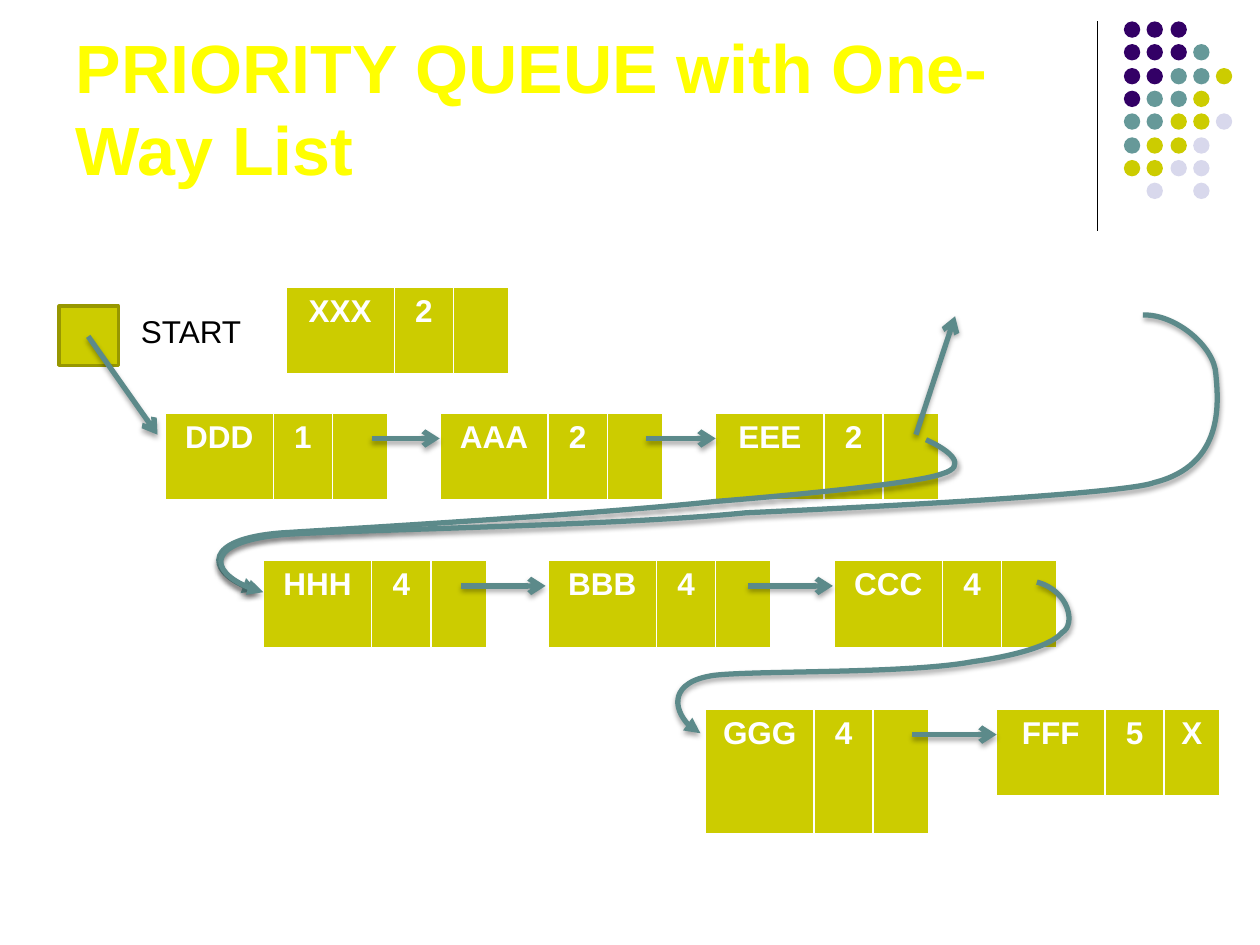
from dataclasses import dataclass

from lxml import etree
from pptx import Presentation
from pptx import util as u
from pptx.dml.color import RGBColor
from pptx.enum import shapes, text
from pptx.oxml.ns import qn

PX = 9144


@dataclass(frozen=True)
class Theme:
    """Colours, font and type sizes of the slide."""
    font: str = "Arial"
    title: str = "FFFF00"
    ink: str = "000000"
    light: str = "FFFFFF"
    node: str = "CCCC00"
    node_edge: str = "979700"
    arrow: str = "5C8A8A"
    dots: tuple = ("330066", "669999", "CCCC00", "D8D8EC")
    title_size: int = 39
    body_size: int = 18


THEME = Theme()
DOT_ROWS = ["000", "0001", "00112", "0112", "11223", "1223", "2233", " 3 3"]
NODE_COLUMNS = (86, 47, 44)
NODES = [
    (("DDD", "1", ""), (131, 328, 177, 70)),
    (("AAA", "2", ""), (349, 328, 177, 70)),
    (("EEE", "2", ""), (568, 328, 177, 70)),
    (("HHH", "4", ""), (209, 445, 177, 70)),
    (("BBB", "4", ""), (435, 445, 177, 70)),
    (("CCC", "4", ""), (662, 445, 177, 70)),
    (("GGG", "4", ""), (560, 563, 177, 100)),
    (("XXX", "2", ""), (227, 228, 177, 70)),
    (("FFF", "5", "X"), (791, 563, 177, 70)),
]
LINKS = [
    (295, 348, 349, 348), (513, 348, 568, 348),
    (366, 465, 433, 465), (594, 465, 661, 465),
    (70, 267, 125, 345), (727, 345, 758, 251), (724, 583, 791, 583),
]
CURVES = [
    [(735, 349), (755, 358), (768, 370), (748, 376), (722, 386), (568, 398), (568, 398),
     (474, 408), (287, 419), (223, 423), (161, 428), (165, 458), (205, 469)],
    [(907, 250), (933, 249), (964, 275), (965, 297), (967, 319), (972, 369), (916, 383),
     (888, 394), (592, 407), (592, 407), (492, 417), (298, 420), (229, 424),
     (161, 429), (166, 459), (209, 470)],
    [(823, 462), (849, 469), (854, 496), (843, 502), (830, 518), (773, 525), (773, 525),
     (721, 535), (602, 532), (567, 536), (531, 541), (534, 572), (556, 582)],
]


def scaled(lengths):
    """Turn px lengths into EMU."""
    return [length * PX for length in lengths]


def add_xml(parent, tag, **attributes):
    """Append a drawing element and return it."""
    return etree.SubElement(parent, qn(tag), attributes)


def style_text(text_frame, size, colour, bold=False):
    """Format every run of a text frame."""
    for paragraph in text_frame.paragraphs:
        for run in paragraph.runs:
            run.font.name = THEME.font
            run.font.size = u.Pt(size)
            run.font.bold = bold
            run.font.color.rgb = RGBColor.from_string(colour)


def style_line(line, colour, width):
    """Set the colour and width of a line."""
    line.color.rgb = RGBColor.from_string(colour)
    line.width = u.Pt(width)


def style_arrow(shape, head):
    """Give a link its stroke, arrowhead and soft shadow."""
    style_line(shape.line, THEME.arrow, 3)
    properties = shape._element.spPr
    add_xml(properties.find(qn("a:ln")), "a:tailEnd", type=head)
    effects = add_xml(properties, "a:effectLst")
    shadow = add_xml(effects, "a:outerShdw", blurRad=str(u.Pt(3.1)), dist=str(u.Pt(1.8)),
                     dir="5400000", rotWithShape="0")
    colour = add_xml(shadow, "a:srgbClr", val=THEME.ink)
    add_xml(colour, "a:alpha", val="35000")


def add_title(slide, wording, box):
    """Place the slide title in its placeholder."""
    title = slide.shapes.title
    title.left, title.top, title.width, title.height = scaled(box)
    frame = title.text_frame
    frame.text = wording
    frame.word_wrap = True
    frame.auto_size = text.MSO_AUTO_SIZE.NONE
    frame.vertical_anchor = text.MSO_ANCHOR.BOTTOM
    frame.paragraphs[0].alignment = text.PP_ALIGN.LEFT
    style_text(frame, THEME.title_size, THEME.title, bold=True)


def add_ornament(slide, box):
    """Draw the vertical rule and the dot grid beside it."""
    left, top, _, height = box
    rule = slide.shapes.add_connector(shapes.MSO_CONNECTOR.STRAIGHT,
                                      *scaled((left, top, left, top + height)))
    style_line(rule.line, THEME.ink, 0.75)
    add_xml(rule._element.spPr, "a:effectLst")
    for row, pattern in enumerate(DOT_ROWS):
        for column, key in enumerate(pattern):
            if key == " ":
                continue
            place = (left + 21 + round(column * 18.3), top + round(row * 18.3), 13, 13)
            dot = slide.shapes.add_shape(shapes.MSO_SHAPE.OVAL, *scaled(place))
            dot.shadow.inherit = False
            dot.fill.solid()
            dot.fill.fore_color.rgb = RGBColor.from_string(THEME.dots[int(key)])
            dot.line.fill.background()


def add_start(slide, box):
    """Draw the start pointer and its label."""
    left, top, width, height = box
    pointer = slide.shapes.add_shape(shapes.MSO_SHAPE.RECTANGLE, *scaled(box))
    pointer.shadow.inherit = False
    pointer.fill.solid()
    pointer.fill.fore_color.rgb = RGBColor.from_string(THEME.node)
    style_line(pointer.line, THEME.node_edge, 2)
    label = slide.shapes.add_textbox(*scaled((left + width + 8, top, 101, 40)))
    label.text_frame.text = "START"
    label.text_frame.word_wrap = False
    label.text_frame.auto_size = text.MSO_AUTO_SIZE.SHAPE_TO_FIT_TEXT
    style_text(label.text_frame, THEME.body_size, THEME.ink)


def fill_cell(cell, wording):
    """Write one node field with white borders."""
    properties = cell._tc.get_or_add_tcPr()
    for tag, width in (("a:lnL", 1), ("a:lnR", 1), ("a:lnT", 1), ("a:lnB", 3)):
        border = add_xml(properties, tag, w=str(u.Pt(width)))
        add_xml(add_xml(border, "a:solidFill"), "a:srgbClr", val=THEME.light)
    cell.fill.solid()
    cell.fill.fore_color.rgb = RGBColor.from_string(THEME.node)
    cell.text_frame.text = wording
    cell.text_frame.paragraphs[0].alignment = text.PP_ALIGN.CENTER
    style_text(cell.text_frame, THEME.body_size, THEME.light, bold=True)


def add_node(slide, fields, box):
    """Draw a list node as a table of name, priority and link."""
    table = slide.shapes.add_table(1, len(fields), *scaled(box)).table
    table.first_row = table.horz_banding = False
    for column, width in zip(table.columns, NODE_COLUMNS):
        column.width = width * PX
    for cell, wording in zip(table.rows[0].cells, fields):
        fill_cell(cell, wording)


def add_link(slide, ends):
    """Draw a straight link between nodes."""
    link = slide.shapes.add_connector(shapes.MSO_CONNECTOR.STRAIGHT, *scaled(ends))
    style_arrow(link, "arrow")


def add_curve(slide, points):
    """Draw a link of cubic curves, three points to each segment."""
    builder = slide.shapes.build_freeform(*points[0], scale=PX)
    builder.add_line_segments(points[1:], close=False)
    curve = builder.convert_to_shape()
    outline = next(curve._element.iter(qn("a:path")))
    segments = outline.findall(qn("a:lnTo"))
    for index in range(0, len(segments), 3):
        bezier = add_xml(outline, "a:cubicBezTo")
        for segment in segments[index:index + 3]:
            bezier.append(segment[0])
            outline.remove(segment)
    curve.fill.background()
    style_arrow(curve, "triangle")


def main():
    """Build and save the slide."""
    presentation = Presentation()
    presentation.slide_width, presentation.slide_height = scaled((1000, 750))
    slide = presentation.slides.add_slide(presentation.slide_layouts[5])
    add_ornament(slide, (871, 17, 107, 166))
    add_title(slide, "PRIORITY QUEUE with One-Way List", (50, 13, 825, 142))
    add_start(slide, (47, 243, 47, 47))
    for fields, box in NODES:
        add_node(slide, fields, box)
    for ends in LINKS:
        add_link(slide, ends)
    for points in CURVES:
        add_curve(slide, points)
    presentation.save("out.pptx")


if __name__ == "__main__":
    main()
